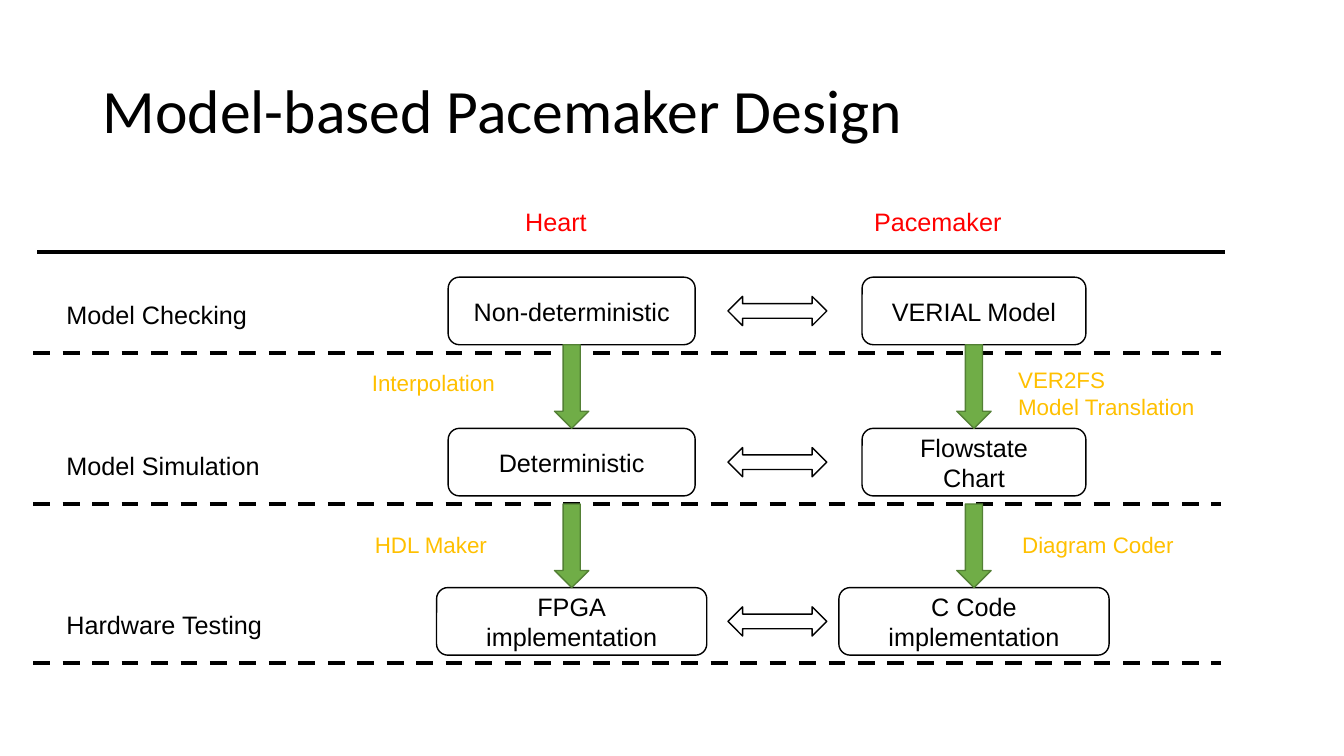
from dataclasses import dataclass

from lxml.etree import SubElement
from pptx import Presentation
from pptx.dml.color import RGBColor
from pptx.enum.dml import MSO_LINE
from pptx.enum.shapes import MSO_CONNECTOR, MSO_SHAPE
from pptx.enum.text import MSO_ANCHOR, PP_ALIGN
from pptx.oxml.ns import qn
from pptx.util import Inches, Pt


@dataclass
class Theme:
    ink: RGBColor = RGBColor.from_string("000000")
    head: RGBColor = RGBColor.from_string("FF0000")
    note: RGBColor = RGBColor.from_string("FFC000")
    step: RGBColor = RGBColor.from_string("70AD47")
    edge: RGBColor = RGBColor.from_string("538035")
    big: int = 44
    body: int = 18
    small: int = 16


theme = Theme()
deck = Presentation()
deck.slide_width, deck.slide_height = Inches(13.33), Inches(7.5)
shapes = deck.slides.add_slide(deck.slide_layouts[6]).shapes


def write(words, x, y, wide, high, size=theme.body, color=theme.ink,
          font="Arial", shape=None):
    """Put styled words in the given shape, or in a new text box."""
    box = shape or shapes.add_textbox(
        Inches(x), Inches(y), Inches(wide), Inches(high))
    frame = box.text_frame
    frame.word_wrap = True
    frame.text = words
    for para in frame.paragraphs:
        para.font.size, para.font.name = Pt(size), font
        para.font.color.rgb = color
        if shape:
            para.alignment = PP_ALIGN.CENTER
    return frame


def draw(kind, x, y, wide, high, fill=None, line=theme.ink):
    shape = shapes.add_shape(
        kind, Inches(x), Inches(y), Inches(wide), Inches(high))
    shape.shadow.inherit = False
    if fill is None:
        shape.fill.background()
    else:
        shape.fill.solid()
        shape.fill.fore_color.rgb = fill
    shape.line.color.rgb = line
    shape.line.width = Pt(1)
    return shape


title = write("Model-based Pacemaker Design", 0.92, 0.4, 11.5, 1.45,
              theme.big, font="Calibri")
title.vertical_anchor = MSO_ANCHOR.MIDDLE
title.paragraphs[0].line_spacing = 0.9

tops = [2.75, 4.25, 5.83]
tall = 0.67

# Stage names and rules
for left, y, dash in [(0.37, 2.5, None)] + [
        (0.33, top + 0.75, MSO_LINE.DASH) for top in tops]:
    rule = shapes.add_connector(MSO_CONNECTOR.STRAIGHT, Inches(left),
                                Inches(y), Inches(left + 11.78), Inches(y))
    rule.line.color.rgb = theme.ink
    rule.line.width = Pt(3)
    rule.line.dash_style = dash
    SubElement(rule._element.spPr, qn("a:effectLst"))

stages = ["Model Checking", "Model Simulation", "Hardware Testing"]
for stage, top in zip(stages, tops):
    write(stage, 0.56, top + 0.17, 2.3, 0.4)
    draw(MSO_SHAPE.LEFT_RIGHT_ARROW, 7.22, top + 0.19, 0.98, 0.29)

# Columns: centre, box widths, box words
columns = [
    (5.67, [2.45, 2.45, 2.68],
     ["Non-deterministic", "Deterministic", "FPGA\nimplementation"]),
    (9.66, [2.22, 2.22, 2.68],
     ["VERIAL Model", "Flowstate\nChart", "C Code\nimplementation"]),
]
for mid, widths, names in columns:
    for wide, name, top in zip(widths, names, tops):
        place = (mid - wide / 2, top, wide, tall)
        box = draw(MSO_SHAPE.ROUNDED_RECTANGLE, *place)
        write(name, *place, shape=box).vertical_anchor = MSO_ANCHOR.MIDDLE
    for y in (3.42, 5):
        draw(MSO_SHAPE.DOWN_ARROW, mid - 0.17, y, 0.34, 0.83,
             theme.step, theme.edge)

# Column heads and notes beside the steps
for words, x, wide in [("Heart", 5.11, 0.9), ("Pacemaker", 8.57, 1.55)]:
    write(words, x, 2, wide, 0.4, color=theme.head)

notes = [
    ("Interpolation", 3.59, 3.61, 1.5, 0.37),
    ("HDL Maker", 3.62, 5.22, 1.5, 0.37),
    ("VER2FS\nModel Translation", 10, 3.58, 2.1, 0.64),
    ("Diagram Coder", 10.04, 5.22, 2.1, 0.37),
]
for words, *place in notes:
    write(words, *place, theme.small, theme.note)

deck.save("out.pptx")
